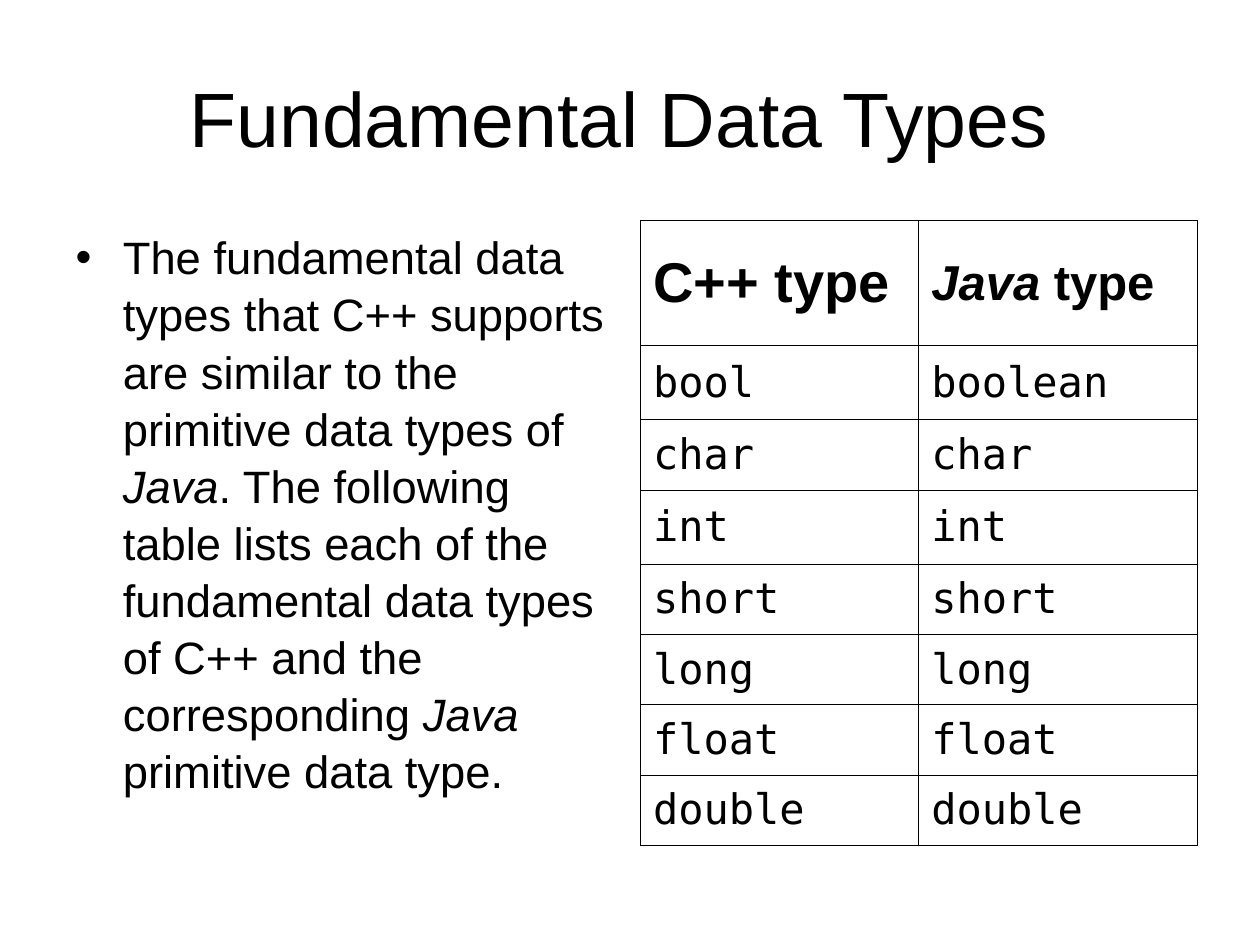
import pptx
import pptx.dml.color
import pptx.enum.text
import pptx.oxml
import pptx.oxml.ns
import pptx.util
from dataclasses import dataclass

Pt = pptx.util.Pt
Anchor = pptx.enum.text.MSO_ANCHOR
Align = pptx.enum.text.PP_ALIGN


@dataclass(frozen=True)
class Theme:
    ink: str = "000000"
    text_font: str = "Arial"
    code_font: str = "DejaVu Sans Mono"
    title_size: float = 44
    body_size: float = 25.9
    code_size: float = 24
    border_width: float = 0.34
    hanging: float = 27


THEME = Theme()

# Each text is a list of (words, italic) pieces.
TITLE = [("Fundamental Data Types ", False)]
BODY = [
    ("The fundamental data types that C++ supports are similar to the primitive data types of ", False),
    ("Java", True),
    (". The following table lists each of the fundamental data types of C++ and the corresponding ", False),
    ("Java", True),
    (" primitive data type.", False),
]
HEADINGS = [
    ([("C++ type", False)], 32),
    ([("Java", True), (" type", False)], 28),
]
TYPE_PAIRS = [
    ("bool", "boolean"), ("char", "char"), ("int", "int"), ("short", "short"),
    ("long", "long"), ("float", "float"), ("double", "double"),
]

SLIDE_SIZE = (720, 540)
MARGIN = 36
TITLE_TOP, TITLE_HEIGHT = 21.6, 90
CONTENT_TOP, CONTENT_HEIGHT = 126, 356.4
COLUMN_WIDTH = 318
ROW_HEIGHTS = [71.5, 42.3, 40.2, 42.3, 40.2, 40.2, 40.2, 40.2]


def drawing_element(markup):
    return pptx.oxml.parse_xml(markup.replace(" ", f" {pptx.oxml.ns.nsdecls('a')} ", 1))


def write(frame, pieces, size, font=THEME.text_font, bold=False, align=Align.LEFT,
          hanging=0, bullet=None, line_spacing=1.0):
    paragraph = frame.paragraphs[0]
    paragraph.alignment = align
    paragraph.line_spacing = line_spacing
    paragraph.space_before = Pt(0)
    properties = paragraph._p.get_or_add_pPr()
    properties.set("marL", str(Pt(hanging)))
    properties.set("indent", str(-Pt(hanging)))
    if bullet:
        properties.append(drawing_element(f'<a:buChar char="{bullet}"/>'))
    for words, italic in pieces:
        run = paragraph.add_run()
        run.text = words
        run.font.name = font
        run.font.size = Pt(size)
        run.font.bold = bold
        run.font.italic = italic
        run.font.color.rgb = pptx.dml.color.RGBColor.from_string(THEME.ink)


def place(shape, left, top, width, height, anchor):
    shape.left, shape.top, shape.width, shape.height = map(Pt, (left, top, width, height))
    frame = shape.text_frame
    frame.word_wrap = True
    frame.auto_size = pptx.enum.text.MSO_AUTO_SIZE.NONE
    frame.vertical_anchor = anchor
    return frame


def style_cell(cell):
    cell.vertical_anchor = Anchor.MIDDLE
    cell.margin_left = cell.margin_right = Pt(7.2)
    cell.margin_top = cell.margin_bottom = Pt(3.6)
    cell.fill.background()
    properties = cell._tc.get_or_add_tcPr()
    for position, side in enumerate("LRTB"):
        properties.insert(position, drawing_element(
            f'<a:ln{side} w="{Pt(THEME.border_width)}"><a:solidFill>'
            f'<a:srgbClr val="{THEME.ink}"/></a:solidFill></a:ln{side}>'))


def add_type_table(slide):
    left = SLIDE_SIZE[0] - MARGIN - COLUMN_WIDTH
    table = slide.shapes.add_table(
        len(ROW_HEIGHTS), len(HEADINGS), Pt(left), Pt(CONTENT_TOP),
        Pt(COLUMN_WIDTH), Pt(sum(ROW_HEIGHTS))).table
    table.first_row = table.horz_banding = False
    for row, height in zip(table.rows, ROW_HEIGHTS):
        row.height = Pt(height)
    for cell in table.iter_cells():
        style_cell(cell)
    for column, (pieces, size) in enumerate(HEADINGS):
        write(table.cell(0, column).text_frame, pieces, size, bold=True, hanging=THEME.hanging)
    for row, names in enumerate(TYPE_PAIRS, start=1):
        for column, name in enumerate(names):
            write(table.cell(row, column).text_frame, [(name, False)], THEME.code_size,
                  font=THEME.code_font, hanging=THEME.hanging)


def main():
    presentation = pptx.Presentation()
    presentation.slide_width, presentation.slide_height = map(Pt, SLIDE_SIZE)
    slide = presentation.slides.add_slide(presentation.slide_layouts[1])

    title = place(slide.shapes.title, MARGIN, TITLE_TOP, SLIDE_SIZE[0] - 2 * MARGIN,
                  TITLE_HEIGHT, Anchor.MIDDLE)
    write(title, TITLE, THEME.title_size, align=Align.CENTER)

    body = place(slide.placeholders[1], MARGIN, CONTENT_TOP, COLUMN_WIDTH,
                 CONTENT_HEIGHT, Anchor.TOP)
    write(body, BODY, THEME.body_size, hanging=THEME.hanging, bullet="•", line_spacing=1.05)

    add_type_table(slide)
    presentation.save("out.pptx")


if __name__ == "__main__":
    main()
